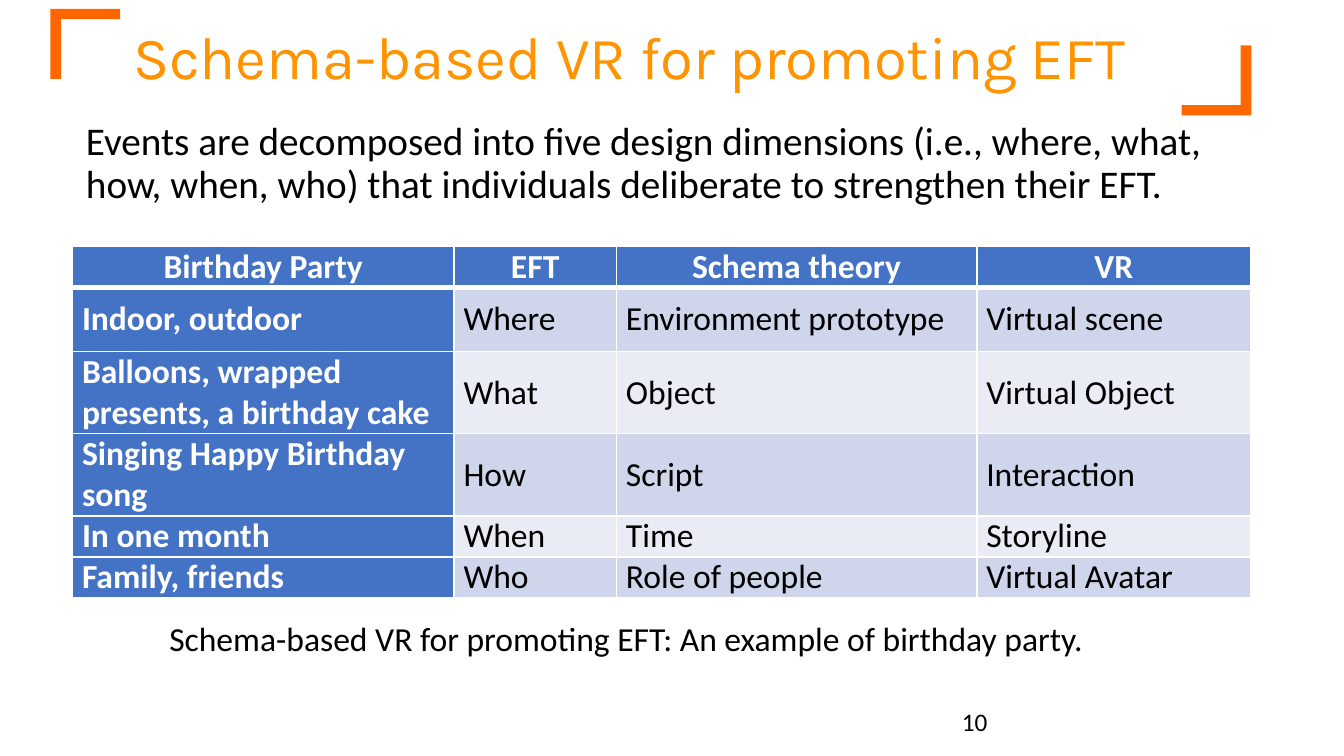
from dataclasses import dataclass

from lxml.etree import SubElement
from pptx import Presentation
from pptx.dml.color import RGBColor
from pptx.enum.shapes import MSO_SHAPE
from pptx.enum.text import MSO_ANCHOR, MSO_AUTO_SIZE, PP_ALIGN
from pptx.oxml.ns import qn
from pptx.util import Cm, Pt


@dataclass(frozen=True)
class Theme:
    title_font: str = "Karla"
    text_font: str = "Calibri"
    title_color: str = "FF9300"
    bracket: str = "FF6600"
    text: str = "000000"
    white: str = "FFFFFF"
    header: str = "4472C4"
    bands: tuple = ("CFD5EA", "E9EBF5")
    title_size: float = 32
    body_size: float = 21
    table_size: float = 18
    number_size: float = 13.5


THEME = Theme()
COLUMN_WIDTHS = (7.21, 3.07, 6.81, 5.18)
ROW_HEIGHTS = (0.77, 1.22, 1.55, 1.55, 0.77, 0.77)
ROWS = (
    ("Birthday Party", "EFT", "Schema theory", "VR"),
    ("Indoor, outdoor", "Where", "Environment prototype", "Virtual scene"),
    ("Balloons, wrapped presents, a birthday cake", "What", "Object", "Virtual Object"),
    ("Singing Happy Birthday song", "How", "Script", "Interaction"),
    ("In one month", "When", "Time", "Storyline"),
    ("Family, friends", "Who", "Role of people", "Virtual Avatar"),
)


def add_run(p, text, size, color=THEME.text, font=THEME.text_font, bold=False):
    r = p.add_run()
    r.text = text
    r.font.size = Pt(size)
    r.font.name = font
    r.font.bold = bold
    r.font.color.rgb = RGBColor.from_string(color)


def place(sp, left, top, width, height):
    sp.left, sp.top, sp.width, sp.height = Cm(left), Cm(top), Cm(width), Cm(height)


def add_bracket(slide, left, top, rotation):
    sp = slide.shapes.add_shape(MSO_SHAPE.CORNER, Cm(left), Cm(top), Cm(1.32), Cm(1.32))
    sp.adjustments[0], sp.adjustments[1] = 0.155, 0.147
    sp.rotation = rotation
    sp.shadow.inherit = False
    sp.fill.solid()
    sp.fill.fore_color.rgb = RGBColor.from_string(THEME.bracket)
    sp.line.fill.background()


def fill_title(sp, text):
    place(sp, 2.26, 0.08, 21.39, 2.13)
    tf = sp.text_frame
    tf.auto_size = MSO_AUTO_SIZE.NONE
    tf.vertical_anchor = MSO_ANCHOR.MIDDLE
    p = tf.paragraphs[0]
    p.alignment = PP_ALIGN.LEFT
    p.line_spacing = 0.9
    add_run(p, text, THEME.title_size, THEME.title_color, THEME.title_font)


def fill_body(sp, text):
    place(sp, 1.37, 2.18, 22.28, 10.39)
    tf = sp.text_frame
    tf.auto_size = MSO_AUTO_SIZE.NONE
    tf.vertical_anchor = MSO_ANCHOR.TOP
    p = tf.paragraphs[0]
    pPr = p._p.get_or_add_pPr()
    pPr.set("marL", "0")
    pPr.set("indent", "0")
    SubElement(pPr, qn("a:buNone"))
    p.line_spacing = 0.9
    p.space_before = Pt(0)
    add_run(p, text, THEME.body_size)


def add_text(slide, box, text, size, wrap=True):
    """Add a text box; one that does not wrap grows to fit its text."""
    sp = slide.shapes.add_textbox(*map(Cm, box))
    tf = sp.text_frame
    tf.word_wrap = wrap
    tf.auto_size = MSO_AUTO_SIZE.NONE if wrap else MSO_AUTO_SIZE.SHAPE_TO_FIT_TEXT
    add_run(tf.paragraphs[0], text, size)


def set_borders(cell, widths):
    """Draw white borders; widths maps the sides L, R, T, B to points."""
    tcPr = cell._tc.get_or_add_tcPr()
    for position, (side, width) in enumerate(widths.items()):
        ln = SubElement(tcPr, qn(f"a:ln{side}"), w=str(Pt(width)))
        solid = SubElement(ln, qn("a:solidFill"))
        SubElement(solid, qn("a:srgbClr"), val=THEME.white)
        tcPr.insert(position, ln)


def fill_cell(cell, text, row, column):
    heading = row == 0 or column == 0
    cell.margin_left = cell.margin_right = Cm(0.18)
    cell.margin_top = cell.margin_bottom = 0
    cell.vertical_anchor = MSO_ANCHOR.MIDDLE
    cell.fill.solid()
    color = THEME.header if heading else THEME.bands[(row - 1) % 2]
    cell.fill.fore_color.rgb = RGBColor.from_string(color)
    set_borders(cell, {"L": 1, "R": 1, "T": 3 if row == 1 else 1, "B": 3 if row == 0 else 1})
    p = cell.text_frame.paragraphs[0]
    p.alignment = PP_ALIGN.CENTER if row == 0 else PP_ALIGN.LEFT
    add_run(p, text, THEME.table_size, THEME.white if heading else THEME.text, bold=heading)


def add_dimension_table(slide):
    frame = slide.shapes.add_table(
        len(ROWS), len(COLUMN_WIDTHS), Cm(1.37), Cm(4.65),
        Cm(sum(COLUMN_WIDTHS)), Cm(sum(ROW_HEIGHTS)))
    table = frame.table
    for column, width in zip(table.columns, COLUMN_WIDTHS):
        column.width = Cm(width)
    for row, height in zip(table.rows, ROW_HEIGHTS):
        row.height = Cm(height)
    for i, texts in enumerate(ROWS):
        for j, text in enumerate(texts):
            fill_cell(table.cell(i, j), text, i, j)


def main():
    prs = Presentation()
    prs.slide_width, prs.slide_height = Cm(25.4), Cm(14.29)
    s = prs.slides.add_slide(prs.slide_layouts[1])
    add_bracket(s, 22.33, 0.86, 270)
    add_bracket(s, 0.95, 0.17, 90)
    fill_title(s.shapes.title, "Schema-based VR for promoting EFT")
    fill_body(s.placeholders[1],
              "Events are decomposed into five design dimensions (i.e., where, what, "
              "how, when, who) that individuals deliberate to strengthen their EFT.")
    add_dimension_table(s)
    add_text(s, (17.93, 13.23, 5.72, 0.76), "10", THEME.number_size)
    add_text(s, (2.95, 11.56, 17.88, 1.02),
             "Schema-based VR for promoting EFT: An example of birthday party.",
             THEME.table_size, wrap=False)
    prs.save("out.pptx")


if __name__ == "__main__":
    main()
